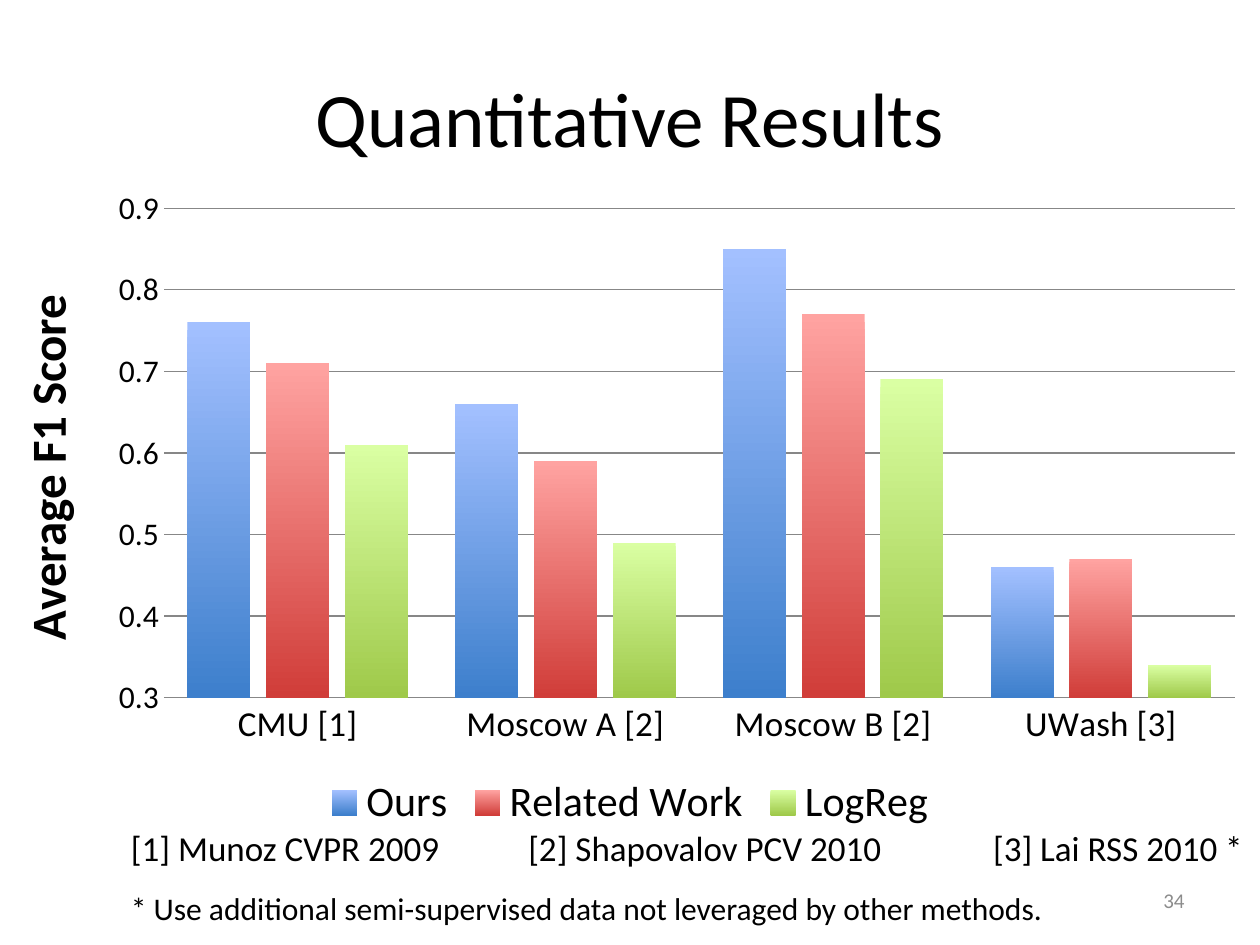
import pptx
import pptx.chart.data
import pptx.dml.color
import pptx.enum.chart
import pptx.enum.text
import pptx.oxml
import pptx.util
from pptx.util import Cm, Pt

FONT = "Calibri"
COLOURS = {"text": "000000", "number": "8C8C8C", "grid": "878787"}
CATEGORIES = ["CMU [1]", "Moscow A [2]", "Moscow B [2]", "UWash [3]"]
# Name, values, bar colour at the top, bar colour at the bottom
SERIES = [
    ("Ours", (0.76, 0.66, 0.85, 0.46), "A3C0FF", "3D7FCC"),
    ("Related Work", (0.71, 0.59, 0.77, 0.47), "FFA3A1", "D03D39"),
    ("LogReg", (0.61, 0.49, 0.69, 0.34), "DAFFA3", "9FC94A"),
]
ANCHOR = pptx.enum.text.MSO_ANCHOR
ALIGN = pptx.enum.text.PP_ALIGN


def rgb(value):
    return pptx.dml.color.RGBColor.from_string(value)


def style_font(font, size, colour="text", bold=False):
    font.name = FONT
    font.size = Pt(size)
    font.bold = bold
    font.color.rgb = rgb(COLOURS[colour])


def write(shape, text, size, anchor, align, colour="text", space_before=0):
    frame = shape.text_frame
    frame.word_wrap = True
    frame.vertical_anchor = anchor
    paragraph = frame.paragraphs[0]
    paragraph.alignment = align
    paragraph.space_before = Pt(space_before)
    run = paragraph.add_run()
    run.text = text
    style_font(run.font, size, colour)


def add_title(slide, text):
    title = slide.shapes.title
    title.left, title.top = Cm(1.27), Cm(0.76)
    title.width, title.height = Cm(22.86), Cm(3.18)
    write(title, text, 44, ANCHOR.MIDDLE, ALIGN.CENTER)


def add_text(slide, box, text, size, anchor=ANCHOR.TOP, align=ALIGN.LEFT, **options):
    shape = slide.shapes.add_textbox(*(Cm(length) for length in box))
    write(shape, text, size, anchor, align, **options)


def set_plot_layout(chart, **fractions):
    """Fix the inner plot area as fractions of the chart."""
    namespace = "http://schemas.openxmlformats.org/drawingml/2006/chart"
    settings = {"layoutTarget": "inner", "xMode": "edge", "yMode": "edge", **fractions}
    children = "".join(f'<c:{tag} val="{value}"/>' for tag, value in settings.items())
    layout = pptx.oxml.parse_xml(
        f'<c:layout xmlns:c="{namespace}"><c:manualLayout>{children}</c:manualLayout></c:layout>'
    )
    plot_area = chart._chartSpace.chart.plotArea
    for old_layout in plot_area.findall(f"{{{namespace}}}layout"):
        plot_area.remove(old_layout)
    plot_area.insert(0, layout)


def style_axes(chart):
    no_tick = pptx.enum.chart.XL_TICK_MARK.NONE
    for axis, size in ((chart.category_axis, 20), (chart.value_axis, 18)):
        axis.major_tick_mark = axis.minor_tick_mark = no_tick
        style_font(axis.tick_labels.font, size)
    chart.category_axis.format.line.color.rgb = rgb(COLOURS["grid"])

    scores = chart.value_axis
    scores.minimum_scale, scores.maximum_scale, scores.major_unit = 0.3, 0.9, 0.1
    scores.tick_labels.number_format = "0.0"
    scores.tick_labels.number_format_is_linked = False
    scores.format.line.fill.background()
    scores.major_gridlines.format.line.color.rgb = rgb(COLOURS["grid"])
    run = scores.axis_title.text_frame.paragraphs[0].add_run()
    run.text = "Average F1 Score"
    style_font(run.font, 28, bold=True)


def add_score_chart(slide):
    data = pptx.chart.data.CategoryChartData()
    data.categories = CATEGORIES
    for name, values, *_ in SERIES:
        data.add_series(name, values)
    chart = slide.shapes.add_chart(
        pptx.enum.chart.XL_CHART_TYPE.COLUMN_CLUSTERED,
        Cm(0), Cm(3.53), Cm(25.4), Cm(13.34), data,
    ).chart
    style_font(chart.font, 18)
    chart.has_title = False
    chart.has_legend = True
    chart.legend.position = pptx.enum.chart.XL_LEGEND_POSITION.BOTTOM
    chart.legend.include_in_layout = False
    style_font(chart.legend.font, 24)
    style_axes(chart)
    set_plot_layout(chart, x=0.13, y=0.05, w=0.85, h=0.74)

    plot = chart.plots[0]
    plot.gap_width, plot.overlap, plot.vary_by_categories = 75, -25, False
    for series, (_, _, *shades) in zip(plot.series, SERIES):
        fill = series.format.fill
        fill.gradient()
        fill.gradient_angle = 270
        for stop, shade in zip(fill.gradient_stops, shades):
            stop.color.rgb = rgb(shade)


def main():
    presentation = pptx.Presentation()
    presentation.slide_width, presentation.slide_height = Cm(25.4), Cm(19.05)
    slide = presentation.slides.add_slide(presentation.slide_layouts[5])
    add_title(slide, "Quantitative Results")
    add_score_chart(slide)
    add_text(slide, (18.2, 17.65, 5.93, 1.01), "34", 12,
             ANCHOR.MIDDLE, ALIGN.RIGHT, colour="number")
    references = [
        (2.39, 11.2, "[1] Munoz CVPR 2009"),
        (10.4, 8.8, "[2] Shapovalov PCV 2010"),
        (19.77, 7, "[3] Lai RSS 2010 *"),
    ]
    for left, width, text in references:
        add_text(slide, (left, 16.56, width, 1.07), text, 20,
                 ANCHOR.BOTTOM, space_before=4)
    add_text(slide, (2.39, 17.8, 20.9, 1.03),
             "* Use additional semi-supervised data not leveraged by other methods.", 18)
    presentation.save("out.pptx")


if __name__ == "__main__":
    main()
